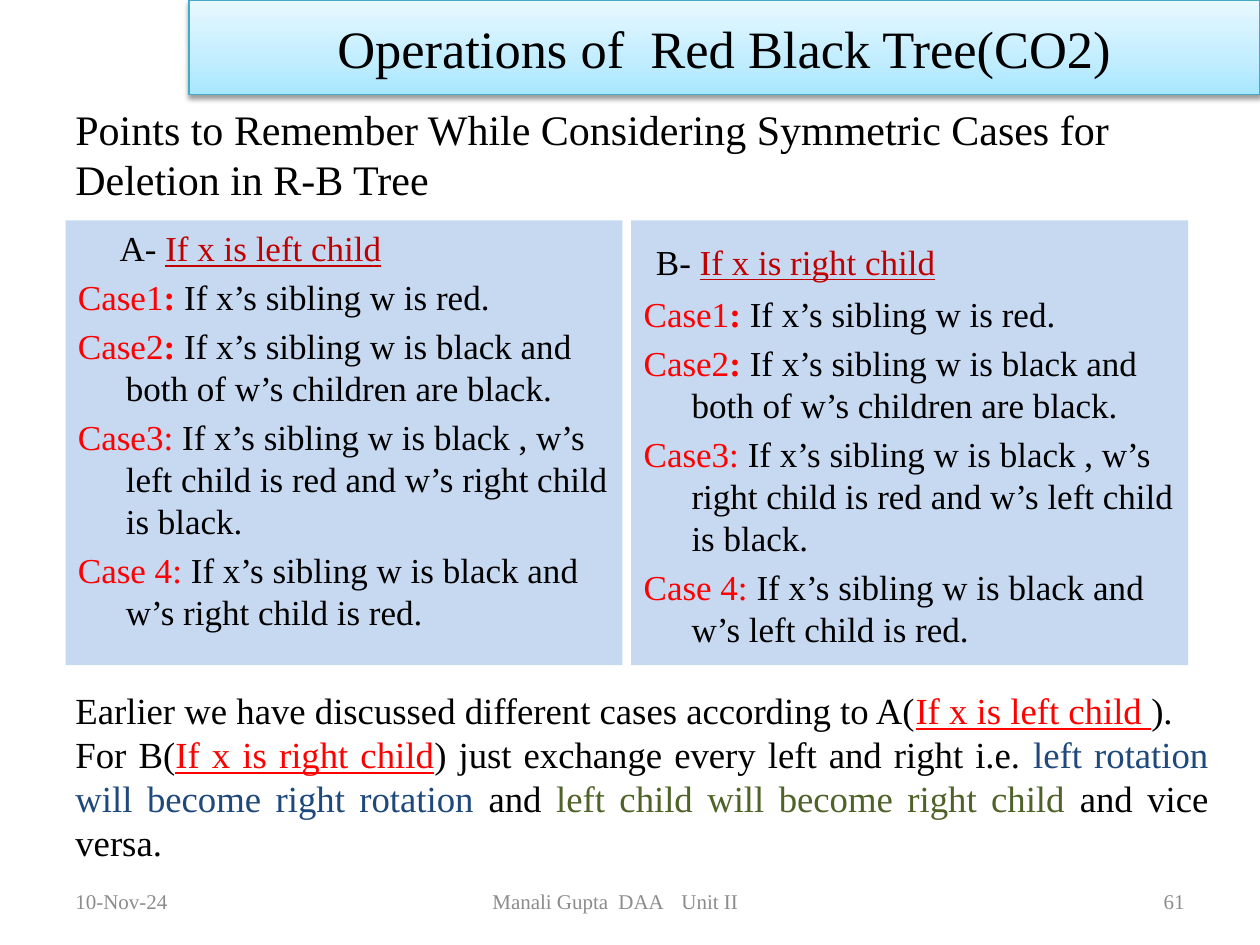
from dataclasses import dataclass

import lxml.etree
import pptx
import pptx.dml.color
import pptx.enum.shapes
import pptx.enum.text
import pptx.oxml
import pptx.oxml.ns
import pptx.util

Inches = pptx.util.Inches
Pt = pptx.util.Pt
Align = pptx.enum.text.PP_ALIGN
Anchor = pptx.enum.text.MSO_ANCHOR
Rect = pptx.enum.shapes.MSO_SHAPE.RECTANGLE
NS = 'xmlns:a="http://schemas.openxmlformats.org/drawingml/2006/main"'


@dataclass(frozen=True)
class Theme:
    font: str = "Times New Roman"
    black: str = "000000"
    red: str = "FF0000"
    dark: str = "C00000"
    blue: str = "1F497D"
    green: str = "4F6228"
    gray: str = "8C8C8C"
    panel: str = "C6D9F1"
    edge: str = "46AAC5"
    shades: tuple = ((0, "A7E6FF"), (35, "C1EDFF"), (100, "E7F8FF"))
    banner: int = 30
    lead: int = 24
    note: int = 21
    body: int = 20
    foot: int = 12


T = Theme()


@dataclass(frozen=True)
class Span:
    text: str
    color: str = T.black
    bold: bool = False
    under: bool = False
    size: int = 0


@dataclass(frozen=True)
class Panel:
    left: float
    head: list[Span]
    indent: float  # left margin of the heading
    first: float  # first-line offset of the heading
    side: str
    other: str


def rgb(code: str):
    return pptx.dml.color.RGBColor.from_string(code)


def write(para, spans: list[Span], size: int, align=Align.LEFT) -> None:
    """Fill a paragraph, with per-run settings only where runs differ."""
    para.alignment = align
    para.font.name = T.font
    para.font.size = Pt(size)
    colors = {span.color for span in spans}
    if len(colors) == 1:
        para.font.color.rgb = rgb(spans[0].color)
    for span in spans:
        run = para.add_run()
        run.text = span.text
        if len(colors) > 1:
            run.font.color.rgb = rgb(span.color)
        if span.bold:
            run.font.bold = True
        if span.under:
            run.font.underline = True
        if span.size:
            run.font.size = Pt(span.size)


def indent(para, left: float, first: float) -> None:
    props = para._p.get_or_add_pPr()
    props.set("marL", str(Inches(left)))
    props.set("indent", str(Inches(first)))


def add_text(slide, left: float, top: float, width: float, height: float,
             paras: list[list[Span]], size: int, align=Align.LEFT,
             anchor=Anchor.MIDDLE):
    box = slide.shapes.add_textbox(
        Inches(left), Inches(top), Inches(width), Inches(height))
    frame = box.text_frame
    frame.word_wrap = True
    frame.vertical_anchor = anchor
    for n, spans in enumerate(paras):
        para = frame.add_paragraph() if n else frame.paragraphs[0]
        write(para, spans, size, align)
    return frame


def add_rect(slide, left: float, top: float, width: float, height: float):
    shape = slide.shapes.add_shape(
        Rect, Inches(left), Inches(top), Inches(width), Inches(height))
    shape.shadow.inherit = False
    shape.text_frame.word_wrap = True
    return shape


def add_panel(slide, panel: Panel) -> None:
    shape = add_rect(slide, panel.left, 1.75, 4.42, 3.53)
    shape.fill.solid()
    shape.fill.fore_color.rgb = rgb(T.panel)
    shape.line.fill.background()
    frame = shape.text_frame
    frame.vertical_anchor = Anchor.TOP
    head = frame.paragraphs[0]
    indent(head, panel.indent, panel.first)
    write(head, panel.head, T.body)

    side, other = panel.side, panel.other
    colon = Span(": ", T.red, bold=True)
    cases = [
        [Span("Case1", T.red), colon, Span("If x’s sibling w is red.")],
        [Span("Case2", T.red), colon,
         Span("If x’s sibling w is black and both of w’s children are black.")],
        [Span("Case3:", T.red),
         Span(f" If x’s sibling w is black , w’s {side} child is red"
              f" and w’s {other} child is black.")],
        [Span("Case 4:", T.red),
         Span(f" If x’s sibling w is black and w’s {other} child is red.")],
    ]
    for spans in cases:
        para = frame.add_paragraph()
        indent(para, 0.38, -0.38)
        para.space_before = Pt(4)
        write(para, spans, T.body)


def add_banner(slide, text: str) -> None:
    shape = add_rect(slide, 1.5, 0, 8.5, 0.75)
    shape.line.color.rgb = rgb(T.edge)
    shape.line.width = Pt(0.75)
    shape.text_frame.vertical_anchor = Anchor.MIDDLE
    write(shape.text_frame.paragraphs[0], [Span(text)], T.banner, Align.CENTER)

    # Three-stop gradient, running upward
    shape.fill.gradient()
    shape.fill.gradient_angle = 90
    stops = shape._element.spPr.find(".//" + pptx.oxml.ns.qn("a:gsLst"))
    for stop in list(stops):
        stops.remove(stop)
    for pos, color in T.shades:
        stops.append(pptx.oxml.parse_xml(
            f'<a:gs {NS} pos="{pos * 1000}"><a:srgbClr val="{color}"/></a:gs>'))

    # Soft shadow below
    effects = shape._element.spPr.find(pptx.oxml.ns.qn("a:effectLst"))
    effects.append(pptx.oxml.parse_xml(
        f'<a:outerShdw {NS} blurRad="{Pt(3.1)}" dist="{Pt(1.6)}" dir="5400000"'
        f' rotWithShape="0"><a:srgbClr val="{T.black}">'
        '<a:alpha val="38000"/></a:srgbClr></a:outerShdw>'))


def add_credit(slide, parts: list[str], start: float, stops: list[float]) -> None:
    frame = add_text(slide, 3.42, 6.95, 4, 0.4, [], T.foot)
    para = frame.paragraphs[0]
    indent(para, start, 0)
    tabs = lxml.etree.SubElement(
        para._p.get_or_add_pPr(), pptx.oxml.ns.qn("a:tabLst"))
    for stop in stops:
        lxml.etree.SubElement(tabs, pptx.oxml.ns.qn("a:tab"),
                              pos=str(Inches(stop)), algn="l")
    write(para, [Span("\t".join(parts), T.gray)], T.foot)


def main() -> None:
    deck = pptx.Presentation()
    deck.slide_width, deck.slide_height = Inches(10), Inches(7.5)
    slide = deck.slides.add_slide(deck.slide_layouts[6])

    # Lead line
    add_text(slide, 0.5, 0.76, 9, 0.92, [[Span(
        "Points to Remember While Considering Symmetric Cases for "
        "Deletion in R-B Tree")]], T.lead)

    # Mirrored case panels
    panels = [
        Panel(0.52, [Span("A- "), Span("If x is left child", T.dark, under=True)],
              0.33, 0, "left", "right"),
        Panel(5.01, [Span(" ", size=28), Span("B- "),
                     Span("If x is right child", T.dark, under=True)],
              0.38, -0.38, "right", "left"),
    ]
    for panel in panels:
        add_panel(slide, panel)

    # Closing note
    add_text(slide, 0.5, 5.41, 9.19, 1.51, [
        [Span("Earlier we have discussed different cases according to A("),
         Span("If x is left child ", T.red, under=True), Span(").")],
        [Span("For B("), Span("If x is right child", T.red, under=True),
         Span(") just exchange every left and right i.e. "),
         Span("left rotation will become right rotation", T.blue),
         Span(" and "), Span("left child will become right child", T.green),
         Span(" and vice versa.")],
    ], T.note, Align.JUSTIFY, Anchor.TOP)

    # Footer
    for left, text, align in [(0.5, "10-Nov-24", Align.LEFT),
                              (7.17, "61", Align.RIGHT)]:
        add_text(slide, left, 6.95, 2.33, 0.4, [[Span(text, T.gray)]],
                 T.foot, align)
    add_credit(slide, ["Manali Gupta", "DAA", "Unit II"], 0.39, [1.93, 2.95])

    add_banner(slide, "Operations of  Red Black Tree(CO2)")
    deck.save("out.pptx")


if __name__ == "__main__":
    main()
